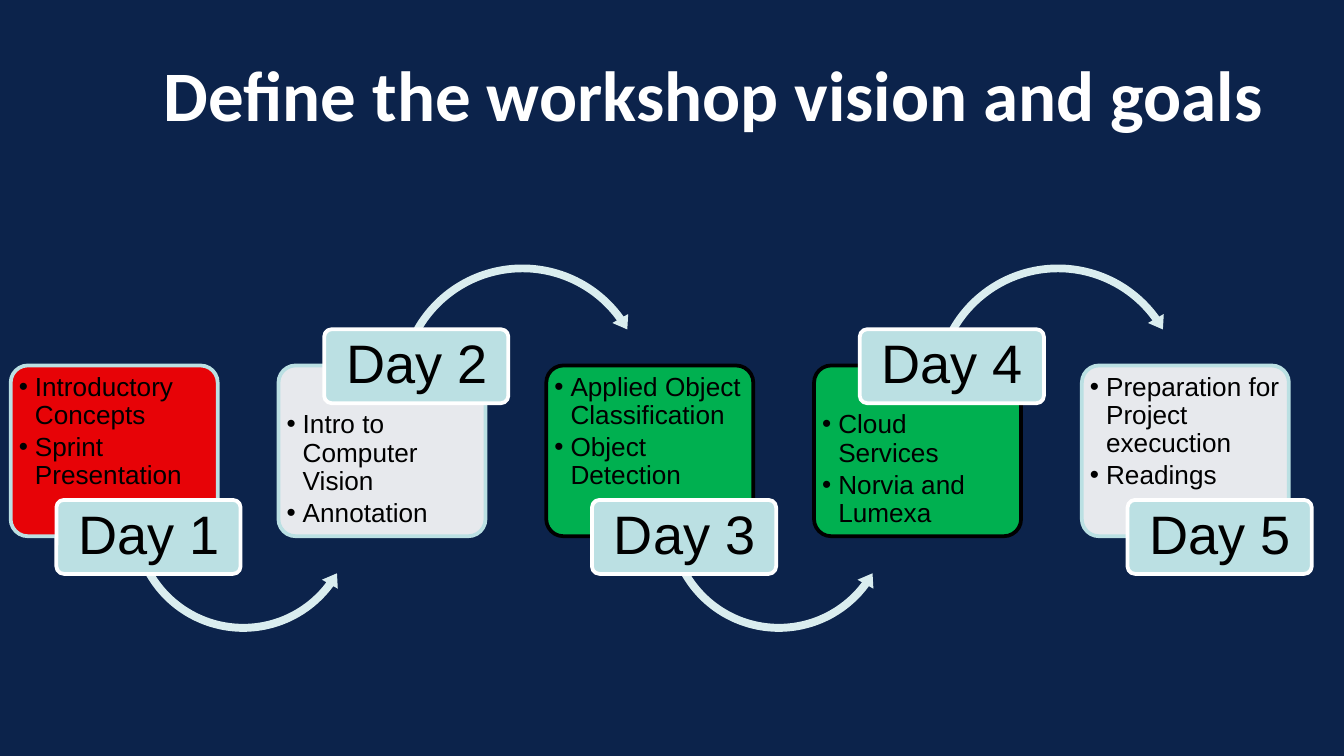
from lxml import etree
from pptx import Presentation
from pptx import util as u
from pptx.dml.color import RGBColor
from pptx.enum import shapes, text
from pptx.oxml.ns import qn

COLORS = {
    "navy": "0C234B",
    "white": "FFFFFF",
    "black": "000000",
    "red": "FF0000",
    "green": "00B050",
    "aqua": "BBE0E3",
    "pale": "DAEDEF",
}

DAYS = [
    (["Introductory Concepts", "Sprint Presentation"], "red", "aqua", 90),
    (["Intro to Computer Vision", "Annotation"], "white", "aqua", 90),
    (["Applied Object Classification", "Object Detection"], "green", "black", 100),
    (["Cloud Services", "Norvia and Lumexa"], "green", "black", 100),
    (["Preparation for Project execuction", "Readings"], "white", "aqua", 90),
]

FIRST_LEFT, LAST_LEFT, CARD_TOP = 0.08, 8.05, 2.72
PITCH = (LAST_LEFT - FIRST_LEFT) / (len(DAYS) - 1)


class WorkshopSlide:
    def __init__(self, deck):
        self.slide = deck.slides.add_slide(deck.slide_layouts[5])
        background = self.slide.background.fill
        background.solid()
        background.fore_color.rgb = self.color("navy")

    def color(self, name):
        return RGBColor.from_string(COLORS[name])

    def set_font(self, para, name, size, color, bold=False):
        para.font.name = name
        para.font.size = u.Pt(size)
        para.font.bold = bold
        para.font.color.rgb = self.color(color)

    def fill_frame(self, frame, lines, anchor, side, end):
        frame.text = "\n".join(lines)
        frame.word_wrap = True
        frame.auto_size = text.MSO_AUTO_SIZE.NONE
        frame.vertical_anchor = anchor
        frame.margin_left = frame.margin_right = u.Inches(side)
        frame.margin_top = frame.margin_bottom = u.Inches(end)
        return frame.paragraphs

    def title(self, wording, left, top, width, height):
        box = self.slide.shapes.title
        box.left, box.top = u.Inches(left), u.Inches(top)
        box.width, box.height = u.Inches(width), u.Inches(height)
        para = self.fill_frame(box.text_frame, [wording],
                               text.MSO_ANCHOR.MIDDLE, 0.04, 0.04)[0]
        para.alignment = text.PP_ALIGN.CENTER
        self.set_font(para, "Calibri", 38, "white", bold=True)

    def shape(self, kind, left, top, width, height, fill, adjustments, line=None):
        box = self.slide.shapes.add_shape(
            kind, u.Inches(left), u.Inches(top), u.Inches(width), u.Inches(height))
        box.shadow.inherit = False
        for index, value in enumerate(adjustments):
            box.adjustments[index] = value
        box.fill.solid()
        box.fill.fore_color.rgb = self.color(fill)
        if line:
            box.line.color.rgb = self.color(line)
            box.line.width = u.Pt(2)
        else:
            box.line.fill.background()
        return box

    def text_box(self, left, top, width, height, lines, anchor, side, end):
        box = self.slide.shapes.add_textbox(
            u.Inches(left), u.Inches(top), u.Inches(width), u.Inches(height))
        return self.fill_frame(box.text_frame, lines, anchor, side, end)

    def card(self, left, top, topics, fill, line, opacity, text_top):
        box = self.shape(shapes.MSO_SHAPE.ROUNDED_RECTANGLE,
                         left, top, 1.54, 1.27, fill, [0.1], line)
        if opacity < 100:
            tint = box._element.spPr.find(qn("a:solidFill"))[0]
            etree.SubElement(tint, qn("a:alpha"), val=str(opacity * 1000))
        for para in self.text_box(left + 0.03, text_top, 1.48, 0.94, topics,
                                  text.MSO_ANCHOR.TOP, 0.03, 0.03):
            self.bullet(para)

    def bullet(self, para):
        para.level = 1
        para.alignment = text.PP_ALIGN.LEFT
        para.line_spacing = 0.9
        para.space_after = u.Pt(2.1)
        properties = para._p.get_or_add_pPr()
        properties.set("marL", str(u.Inches(0.12)))
        properties.set("indent", str(-u.Inches(0.12)))
        tint = etree.SubElement(properties, qn("a:buClr"))
        etree.SubElement(tint, qn("a:srgbClr"), val=COLORS["black"])
        etree.SubElement(properties, qn("a:buFont"), typeface="Arial")
        etree.SubElement(properties, qn("a:buChar"), char="•")
        self.set_font(para, "Arial", 14, "black")

    def label(self, left, top, wording):
        self.shape(shapes.MSO_SHAPE.ROUNDED_RECTANGLE,
                   left, top, 1.37, 0.55, "aqua", [0.1], "white")
        para = self.text_box(left + 0.02, top + 0.02, 1.34, 0.51, [wording],
                             text.MSO_ANCHOR.MIDDLE, 0.06, 0.04)[0]
        para.alignment = text.PP_ALIGN.CENTER
        para.line_spacing = 0.9
        self.set_font(para, "Arial", 29, "black")

    def lower_arrow(self, left):
        self.shape(shapes.MSO_SHAPE.LEFT_CIRCULAR_ARROW, left + 0.86, 3, 1.74, 1.74,
                   "pale", [0.034, 4.151, 21.906, 90.245, 0.039])

    def upper_arrow(self, left):
        self.shape(shapes.MSO_SHAPE.CIRCULAR_ARROW, left + 0.85, 1.93, 1.93, 1.93,
                   "pale", [0.03, 3.698, 194.547, 125.755, 0.035])


def main():
    deck = Presentation()
    deck.slide_width = u.Inches(10)
    deck.slide_height = deck.slide_width * 9 // 16
    page = WorkshopSlide(deck)
    page.title("Define the workshop vision and goals", 0.96, 0.38, 8.7, 0.63)

    for index, (topics, fill, line, opacity) in enumerate(DAYS):
        left = FIRST_LEFT + index * PITCH
        label_above = index % 2 == 1
        page.card(left, CARD_TOP, topics, fill, line, opacity,
                  3.03 if label_above else 2.75)
        if index < len(DAYS) - 1:
            arrow = page.upper_arrow if label_above else page.lower_arrow
            arrow(left)
        page.label(left + 0.34, 2.45 if label_above else 3.72, f"Day {index + 1}")

    deck.save("out.pptx")


if __name__ == "__main__":
    main()
